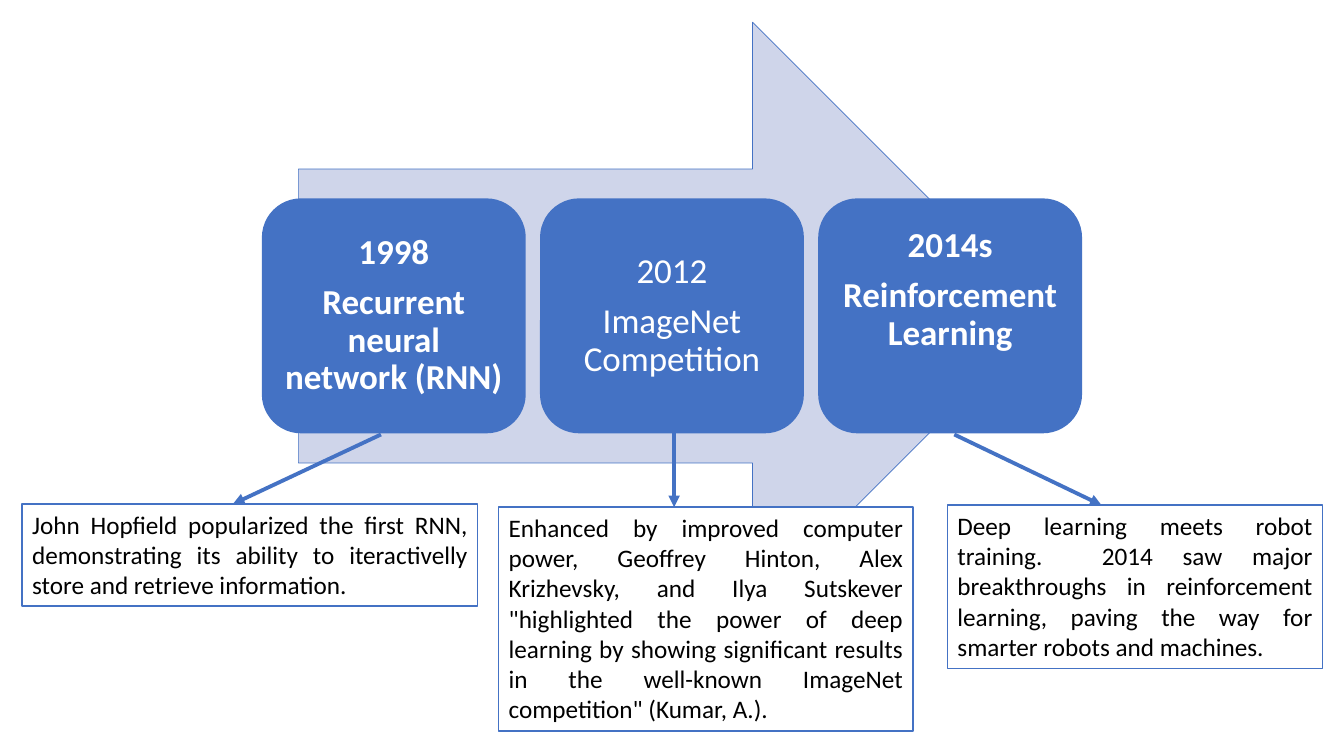
import pptx
import pptx.util
import pptx.dml.color
import pptx.enum.shapes
import pptx.enum.text
import pptx.oxml
import pptx.oxml.ns
from pptx.util import Cm

COLOURS = {"blue": "4472C4", "pale": "CFD5EA", "white": "FFFFFF", "black": "000000"}
FONT = "Calibri"

MILESTONES = [
    {"lines": ["1998", "Recurrent neural network (RNN)"], "bold": True, "bottom_inset": 0.24,
     "note": "John Hopfield popularized the first RNN, demonstrating its ability "
             "to iteractivelly store and retrieve information.",
     "note_box": (0.56, 12.7, 11.48, 2.57), "link": (9.6, 10.95, 5.87)},
    {"lines": ["2012", "ImageNet Competition"], "bold": False, "bottom_inset": 0.24,
     "note": "Enhanced by improved computer power, Geoffrey Hinton, Alex Krizhevsky, "
             "and Ilya Sutskever \"highlighted the power of deep learning by showing "
             "significant results in the well-known ImageNet competition\" (Kumar, A.).",
     "note_box": (12.57, 12.78, 10.44, 5.64), "link": (16.99, 10.9, 16.99)},
    {"lines": ["2014s", "Reinforcement Learning"], "bold": True, "bottom_inset": 1.54,
     "note": "Deep learning meets robot training.  2014 saw major breakthroughs in "
             "reinforcement learning, paving the way for smarter robots and machines.",
     "note_box": (23.88, 12.73, 9.45, 4.11), "link": (24.05, 10.95, 27.76)},
]

BACK_ARROW = (7.52, 0.56, 18.85, 14.81)
CARD_LEFT, CARD_TOP, CARD_WIDTH, CARD_HEIGHT = 6.6, 5.0, 6.65, 5.92
CARD_PITCH = 7.01
CARD_INSET = 0.24


def colour(name):
    return pptx.dml.color.RGBColor.from_string(COLOURS[name])


def add_box(slide, kind, box, fill, line_width=None):
    shape = slide.shapes.add_shape(kind, *map(Cm, box))
    shape.shadow.inherit = False
    shape.fill.solid()
    shape.fill.fore_color.rgb = colour(fill)
    if line_width is None:
        shape.line.fill.background()
    else:
        shape.line.color.rgb = colour("blue")
        shape.line.width = pptx.util.Pt(line_width)
    return shape


def write(shape, lines, size, ink, alignment, bold=False):
    frame = shape.text_frame
    frame.word_wrap = True
    frame.text = "\n".join(lines)
    for paragraph in frame.paragraphs:
        paragraph.alignment = alignment
        for run in paragraph.runs:
            run.font.name = FONT
            run.font.size = pptx.util.Pt(size)
            run.font.bold = bold
            run.font.color.rgb = colour(ink)
    return frame


def add_card(slide, index, milestone):
    box = (CARD_LEFT + index * CARD_PITCH, CARD_TOP, CARD_WIDTH, CARD_HEIGHT)
    card = add_box(slide, pptx.enum.shapes.MSO_SHAPE.ROUNDED_RECTANGLE, box, "blue")
    frame = write(card, milestone["lines"], 25, "white",
                  pptx.enum.text.PP_ALIGN.CENTER, milestone["bold"])
    frame.vertical_anchor = pptx.enum.text.MSO_ANCHOR.MIDDLE
    frame.margin_left = frame.margin_right = frame.margin_top = Cm(CARD_INSET)
    frame.margin_bottom = Cm(milestone["bottom_inset"])
    for paragraph in frame.paragraphs:
        paragraph.line_spacing = 0.9
        paragraph.space_after = pptx.util.Pt(8.75)


def add_note(slide, milestone):
    note = add_box(slide, pptx.enum.shapes.MSO_SHAPE.RECTANGLE, milestone["note_box"], "white", 1)
    frame = write(note, [milestone["note"]], 18, "black", pptx.enum.text.PP_ALIGN.JUSTIFY)
    frame.vertical_anchor = pptx.enum.text.MSO_ANCHOR.TOP
    frame.auto_size = pptx.enum.text.MSO_AUTO_SIZE.SHAPE_TO_FIT_TEXT


def add_link(slide, milestone):
    start_x, start_y, end_x = milestone["link"]
    end_y = milestone["note_box"][1]
    connector = slide.shapes.add_connector(
        pptx.enum.shapes.MSO_CONNECTOR.STRAIGHT, Cm(start_x), Cm(start_y), Cm(end_x), Cm(end_y))
    connector.line.color.rgb = colour("blue")
    connector.line.width = pptx.util.Pt(2.75)
    line = connector.line._get_or_add_ln()
    line.append(pptx.oxml.parse_xml(
        f'<a:tailEnd {pptx.oxml.ns.nsdecls("a")} type="triangle"/>'))
    connector._element.spPr.append(pptx.oxml.parse_xml(
        f'<a:effectLst {pptx.oxml.ns.nsdecls("a")}/>'))


def main():
    """Build the deep learning timeline slide."""
    presentation = pptx.Presentation()
    presentation.slide_width = Cm(33.87)
    presentation.slide_height = Cm(19.05)
    slide = presentation.slides.add_slide(presentation.slide_layouts[6])
    add_box(slide, pptx.enum.shapes.MSO_SHAPE.RIGHT_ARROW, BACK_ARROW, "pale", 0.5)
    for index, milestone in enumerate(MILESTONES):
        add_card(slide, index, milestone)
    for milestone in MILESTONES:
        add_note(slide, milestone)
        add_link(slide, milestone)
    presentation.save("out.pptx")


if __name__ == "__main__":
    main()
